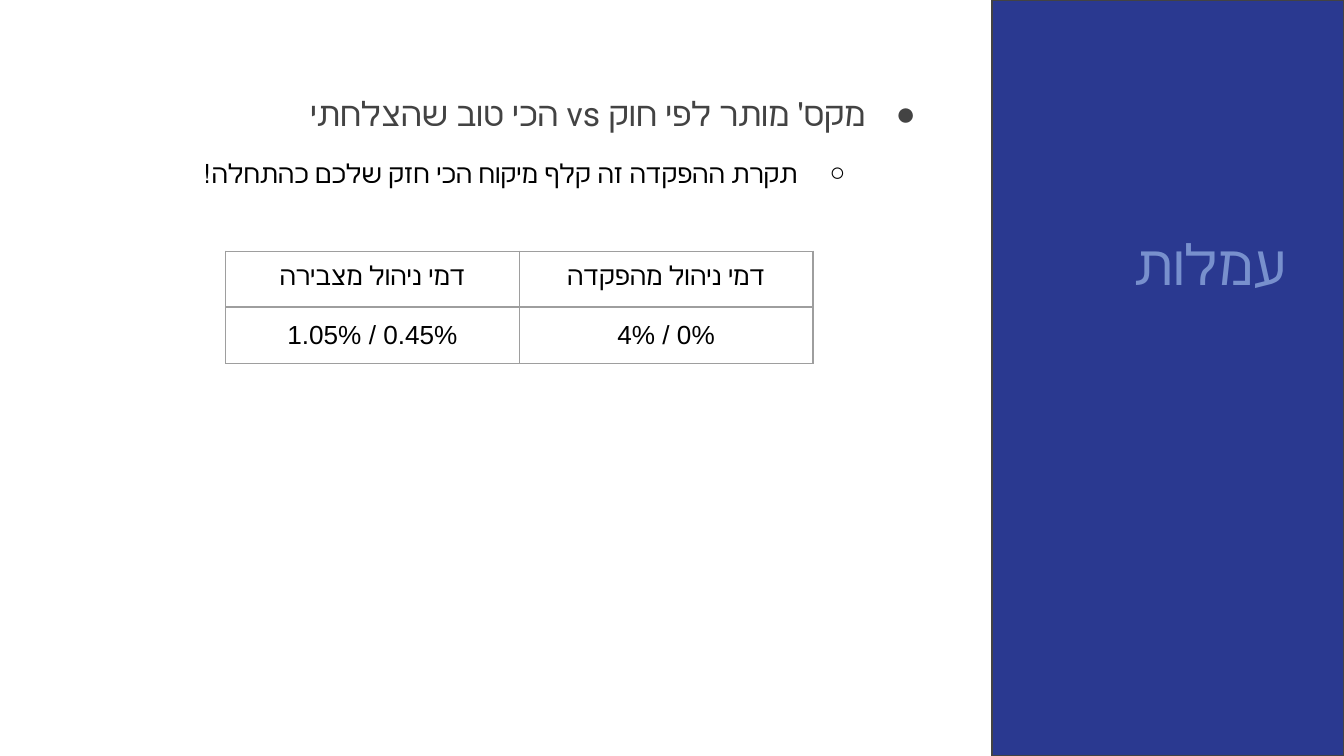
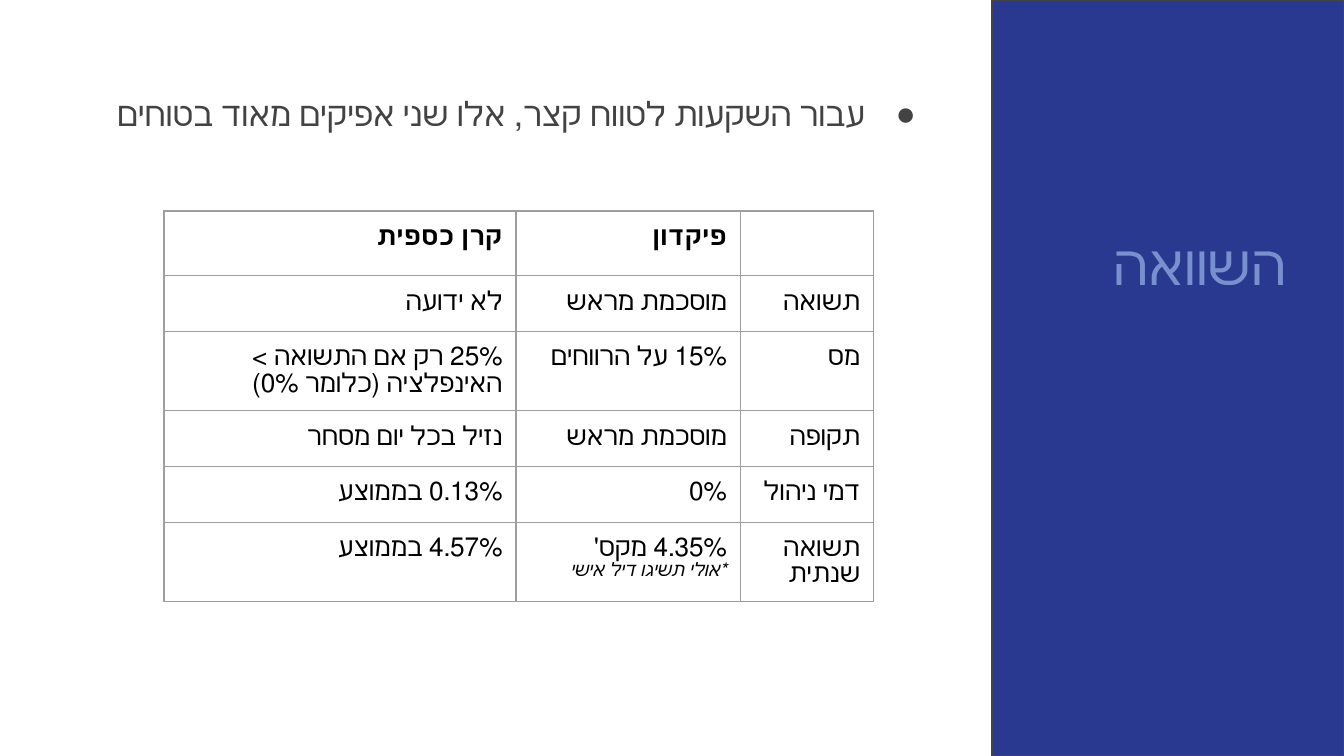
from dataclasses import dataclass
from typing import Optional

import pptx
import pptx.dml.color
import pptx.enum.shapes
import pptx.enum.text
import pptx.oxml.ns
import pptx.slide
import pptx.table
import pptx.text.text
import pptx.util
from lxml import etree

PX = 4572  # EMU per px, 200 px to the inch
ALIGN = pptx.enum.text.PP_ALIGN
qn = pptx.oxml.ns.qn


# Theme and content types
@dataclass(frozen=True)
class Theme:
    band: str = "2A3990"
    outline: str = "434343"
    title: str = "7890CD"
    point: str = "434343"
    ink: str = "000000"
    grid: str = "9E9E9E"
    heading_font: str = "Roboto"
    table_font: str = "Arial"
    title_pt: int = 30
    point_pt: int = 18
    detail_pt: int = 14
    note_pt: int = 10
    empty_pt: int = 18
    rule_pt: float = 0.75


THEME = Theme()


@dataclass(frozen=True)
class Box:
    left: int
    top: int
    width: int
    height: int

    def emu(self) -> tuple[int, ...]:
        return tuple(px(n) for n in (self.left, self.top, self.width, self.height))


@dataclass(frozen=True)
class BulletLevel:
    mark: str
    color: str
    size: int
    margin: int
    hang: int
    before: int


@dataclass(frozen=True)
class Line:
    text: str
    bold: bool = False
    note: bool = False
    rtl: bool = True


@dataclass(frozen=True)
class Grid:
    left: int
    top: int
    columns: tuple[int, ...]
    align: ALIGN
    rows: tuple[tuple[tuple[Line, ...], ...], ...]


@dataclass(frozen=True)
class Topic:
    title: str
    bullets: tuple[str, ...]
    grid: Grid


PAGE = Box(0, 0, 2000, 1125)
BAND = Box(1476, 0, 524, 1125)
TITLE = Box(1508, 322, 450, 376)
BODY = Box(136, 110, 1272, 936)
INSET = 20
TITLE_INSET_RIGHT = 44
ROW_HEIGHT = 83
LEVELS = (
    BulletLevel("●", THEME.point, THEME.point_pt, 100, 75, 0),
    BulletLevel("○", THEME.ink, THEME.detail_pt, 200, 70, 10),
)


# Shared helpers
def px(length: int) -> int:
    return pptx.util.Emu(length * PX)


def rgb(color: str) -> pptx.dml.color.RGBColor:
    return pptx.dml.color.RGBColor.from_string(color)


def style(paragraph: pptx.text.text._Paragraph, font: str, size: int, color: str,
          bold: bool = False, italic: bool = False) -> None:
    paragraph.font.name = font
    paragraph.font.size = pptx.util.Pt(size)
    paragraph.font.color.rgb = rgb(color)
    paragraph.font.bold = bold
    paragraph.font.italic = italic


def direct(paragraph: pptx.text.text._Paragraph, align: ALIGN, rtl: bool = True):
    paragraph.alignment = align
    properties = paragraph._p.get_or_add_pPr()
    properties.set("rtl", str(int(rtl)))
    return properties


def place(holder, box: Box, inset_right: int = INSET) -> pptx.text.text.TextFrame:
    holder.left, holder.top, holder.width, holder.height = box.emu()
    frame = holder.text_frame
    frame.word_wrap = True
    frame.auto_size = pptx.enum.text.MSO_AUTO_SIZE.NONE
    frame.vertical_anchor = pptx.enum.text.MSO_ANCHOR.TOP
    frame.margin_left = frame.margin_top = frame.margin_bottom = px(INSET)
    frame.margin_right = px(inset_right)
    return frame


# Slide parts
def draw_band(slide: pptx.slide.Slide) -> None:
    band = slide.shapes.add_shape(pptx.enum.shapes.MSO_SHAPE.RECTANGLE, *BAND.emu())
    band.shadow.inherit = False
    band.fill.solid()
    band.fill.fore_color.rgb = rgb(THEME.band)
    band.line.color.rgb = rgb(THEME.outline)
    band.line.width = pptx.util.Pt(THEME.rule_pt)
    slide.shapes.title.element.addprevious(band.element)


def write_title(slide: pptx.slide.Slide, title: str) -> None:
    frame = place(slide.shapes.title, TITLE, TITLE_INSET_RIGHT)
    frame.text = title
    heading = frame.paragraphs[0]
    direct(heading, ALIGN.RIGHT)
    style(heading, THEME.heading_font, THEME.title_pt, THEME.title)


def write_bullets(slide: pptx.slide.Slide, bullets: tuple[str, ...]) -> None:
    frame = place(slide.placeholders[1], BODY)
    frame.text = "\n".join(bullets)
    for depth, (point, level) in enumerate(zip(frame.paragraphs, LEVELS)):
        point.level = depth
        point.line_spacing = 1.15
        point.space_before = pptx.util.Pt(level.before)
        properties = direct(point, ALIGN.RIGHT)
        properties.set("marL", str(px(level.margin)))
        properties.set("indent", str(-px(level.hang)))
        mark_color = etree.SubElement(properties, qn("a:buClr"))
        etree.SubElement(mark_color, qn("a:srgbClr"), val=level.color)
        etree.SubElement(properties, qn("a:buChar"), char=level.mark)
        style(point, THEME.heading_font, level.size, level.color)


def rule_cell(cell: pptx.table._Cell) -> None:
    cell.fill.background()
    properties = cell._tc.get_or_add_tcPr()
    for index, side in enumerate(("a:lnL", "a:lnR", "a:lnT", "a:lnB")):
        width = str(pptx.util.Pt(THEME.rule_pt))
        rule = etree.Element(qn(side), w=width)
        fill = etree.SubElement(rule, qn("a:solidFill"))
        etree.SubElement(fill, qn("a:srgbClr"), val=THEME.grid)
        properties.insert(index, rule)


def fill_cell(cell: pptx.table._Cell, lines: tuple[Line, ...], align: ALIGN) -> None:
    rule_cell(cell)
    cell.margin_left = cell.margin_right = px(INSET)
    cell.margin_top = cell.margin_bottom = px(INSET)
    if not lines:
        # An empty cell still sets the height of its row
        end = etree.SubElement(cell.text_frame.paragraphs[0]._p, qn("a:endParaRPr"),
                               sz=str(THEME.empty_pt * 100))
        etree.SubElement(end, qn("a:latin"), typeface=THEME.table_font)
        return
    cell.text = "\n".join(line.text for line in lines)
    for paragraph, line in zip(cell.text_frame.paragraphs, lines):
        direct(paragraph, align, line.rtl)
        size = THEME.note_pt if line.note else THEME.detail_pt
        style(paragraph, THEME.table_font, size, THEME.ink, line.bold, line.note)


def draw_grid(slide: pptx.slide.Slide, grid: Grid) -> None:
    box = Box(grid.left, grid.top, sum(grid.columns), ROW_HEIGHT * len(grid.rows))
    table = slide.shapes.add_table(len(grid.rows), len(grid.columns), *box.emu()).table
    table.first_row = table.horz_banding = False
    for column, width in zip(table.columns, grid.columns):
        column.width = px(width)
    for row, contents in zip(table.rows, grid.rows):
        row.height = px(ROW_HEIGHT)
        for cell, lines in zip(row.cells, contents):
            fill_cell(cell, lines, grid.align)


def line(text: str, bold: bool = False, rtl: bool = True) -> tuple[Line, ...]:
    return (Line(text, bold=bold, rtl=rtl),)


def row(*texts: str) -> tuple[tuple[Line, ...], ...]:
    return tuple(line(text) for text in texts)


# Content
FEES = Topic(
    "עמלות",
    ("מקס׳ מותר לפי חוק vs הכי טוב שהצלחתי",
     "תקרת ההפקדה זה קלף מיקוח הכי חזק שלכם כהתחלה!"),
    Grid(336, 374, (437, 437), ALIGN.CENTER, (
        row("דמי ניהול מצבירה", "דמי ניהול מהפקדה"),
        (line("1.05% / 0.45%", rtl=False), line("4% / 0%", rtl=False)),
    )),
)
COMPARISON = Topic(
    "השוואה",
    ("עבור השקעות לטווח קצר, אלו שני אפיקים מאוד בטוחים",),
    Grid(244, 314, (524, 334, 198), ALIGN.RIGHT, (
        (line("קרן כספית", bold=True), line("פיקדון", bold=True), ()),
        row("לא ידועה", "מוסכמת מראש", "תשואה"),
        row("25% רק אם התשואה > האינפלציה (כלומר 0%)", "15% על הרווחים", "מס"),
        row("נזיל בכל יום מסחר", "מוסכמת מראש", "תקופה"),
        row("0.13% בממוצע", "0%", "דמי ניהול"),
        (line("4.57% בממוצע"),
         (Line("4.35% מקס׳"), Line("*אולי תשיגו דיל אישי", note=True)),
         line("תשואה שנתית")),
    )),
)


def build(deck: pptx.presentation.Presentation, topic: Topic) -> None:
    slide = deck.slides.add_slide(deck.slide_layouts[0])
    draw_band(slide)
    write_title(slide, topic.title)
    write_bullets(slide, topic.bullets)
    draw_grid(slide, topic.grid)


def main() -> None:
    deck = pptx.Presentation()
    deck.slide_width, deck.slide_height = px(PAGE.width), px(PAGE.height)
    for topic in (FEES, COMPARISON):
        build(deck, topic)
    deck.save("out.pptx")


if __name__ == "__main__":
    main()
